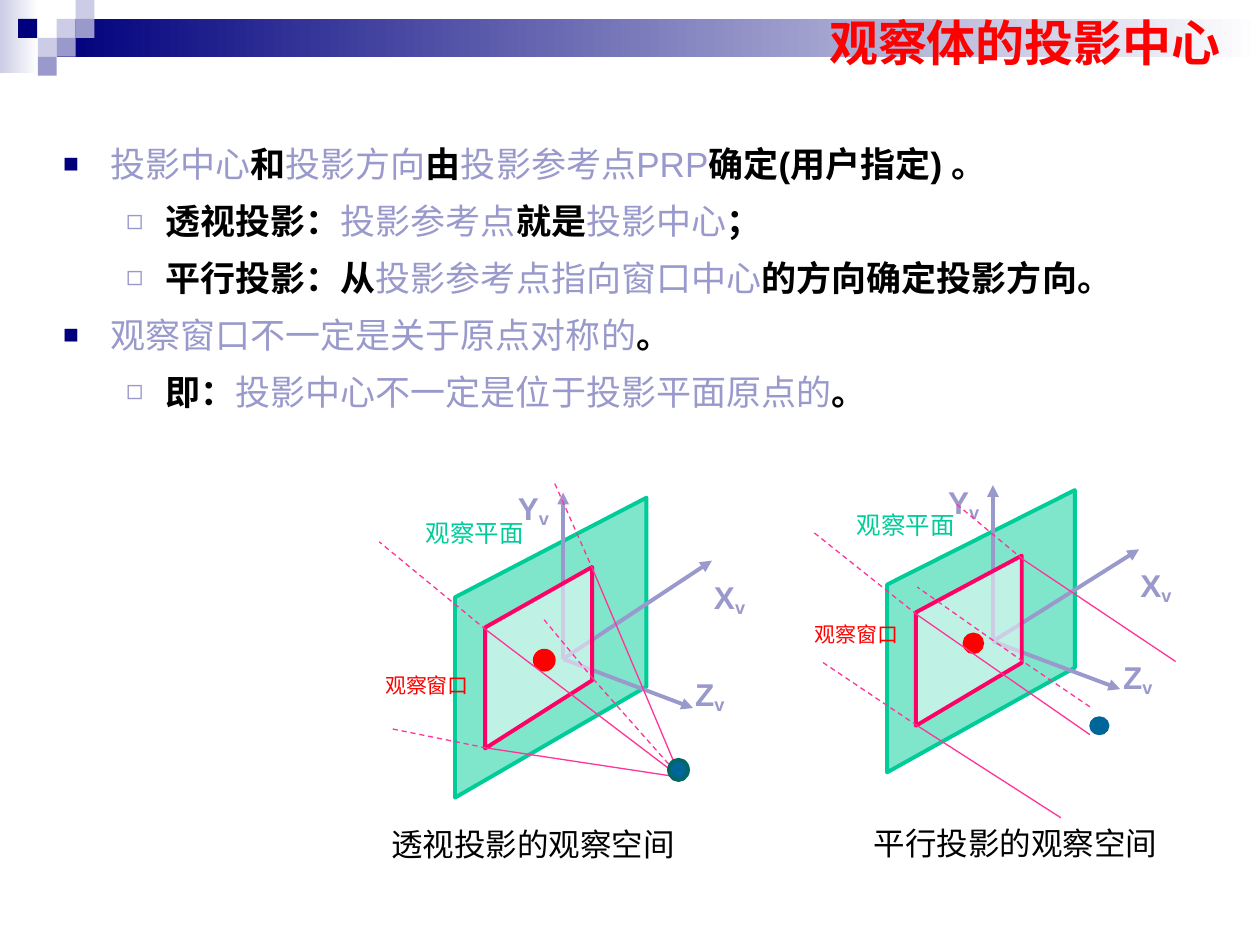
"""Build a slide comparing the projection centres of perspective and parallel views."""
from lxml.etree import SubElement
from pptx import Presentation
from pptx.dml.color import RGBColor
from pptx.enum.dml import MSO_LINE
from pptx.enum.shapes import MSO_CONNECTOR, MSO_SHAPE
from pptx.enum.text import MSO_ANCHOR, MSO_AUTO_SIZE, PP_ALIGN
from pptx.oxml.ns import qn
from pptx.util import Pt

color = RGBColor.from_string
NAVY, LAVENDER, PALE = "00007D", "9999CC", "CCCCE6"
GREEN, RED, PINK, CRIMSON, BLACK = "00CC99", "FF0000", "FF3399", "FF0066", "000000"


def add_line(start, end, tint, width, dashed=False, arrow=False):
    """Draw a straight line between two points."""
    line = page.shapes.add_connector(MSO_CONNECTOR.STRAIGHT, *map(Pt, start + end))
    line.line.color.rgb = color(tint)
    line.line.width = Pt(width)
    if dashed:
        line.line.dash_style = MSO_LINE.DASH
    if arrow:
        SubElement(line.line._get_or_add_ln(), qn("a:tailEnd"), type="triangle")
    SubElement(line._element.spPr, qn("a:effectLst"))


def add_label(place, text, size, tint, font="Arial", subscript=""):
    """Add a centred label, with an optional bold subscript."""
    box = page.shapes.add_textbox(*map(Pt, place))
    box.text_frame.word_wrap = True
    para = box.text_frame.paragraphs[0]
    para.text = text
    para.alignment = PP_ALIGN.CENTER
    if subscript:
        span = para.add_run()
        span.text = subscript
        span._r.get_or_add_rPr().set("baseline", "-16000")
    for span in para.runs:
        span.font.size = Pt(size)
        span.font.name = font
        span.font.bold = bool(subscript)
        span.font.color.rgb = color(tint)


deck = Presentation()
deck.slide_width, deck.slide_height = Pt(720), Pt(540)
page = deck.slides.add_slide(deck.slide_layouts[1])
title, body = page.placeholders

header = [
    ((0, 0, 22, 42), PALE, True),
    ((32.4, 10.8, 687.6, 21.6), NAVY, True),
    ((32.4, 10.8, 10.8, 10.8), PALE, False),
    ((43.2, 0, 10.8, 10.8), PALE, False),
    ((43.2, 10.8, 10.8, 10.8), LAVENDER, False),
    ((21.6, 21.6, 10.8, 10.8), PALE, False),
    ((10.4, 10.8, 10.8, 10.8), NAVY, False),
    ((32.4, 21.6, 10.8, 10.8), LAVENDER, False),
    ((21.6, 32.4, 10.8, 10.8), LAVENDER, False),
]
for order, (place, tint, fades) in enumerate(header):
    block = page.shapes.add_shape(MSO_SHAPE.RECTANGLE, *map(Pt, place))
    block.shadow.inherit = False
    block.line.fill.background()
    if fades:
        block.fill.gradient()
        block.fill.gradient_angle = 0
        for stop, shade in zip(block.fill.gradient_stops, (tint, "FFFFFF")):
            stop.color.rgb = color(shade)
    else:
        block.fill.solid()
        block.fill.fore_color.rgb = color(tint)
    page.shapes._spTree.insert(2 + order, block._element)

for holder, place in ((title, (466.6, 5.8, 247.7, 36)), (body, (28.8, 54, 673.2, 203))):
    holder.left, holder.top, holder.width, holder.height = map(Pt, place)
    holder.text_frame.auto_size = MSO_AUTO_SIZE.NONE
    holder.text_frame.vertical_anchor = MSO_ANCHOR.MIDDLE

title.text_frame.text = "观察体的投影中心"
heading = title.text_frame.paragraphs[0]
heading.alignment = PP_ALIGN.LEFT
heading.font.size = Pt(28)
heading.font.name = "Arial"
heading.font.bold = True
heading.font.color.rgb = color(RED)

bullets = [("■", NAVY, 75, 27, -27), ("◻", LAVENDER, 80, 58.5, -22.5)]
points = [
    (0, ["投影中心", "和", "投影方向", "由", "投影参考点PRP", "确定(用户指定) 。"]),
    (1, ["透视投影：", "投影参考点", "就是", "投影中心", "；"]),
    (1, ["平行投影：从", "投影参考点指向窗口中心", "的方向确定投影方向。"]),
    (0, ["观察窗口不一定是关于原点对称的", "。"]),
    (1, ["即：", "投影中心不一定是位于投影平面原点的", "。"]),
]
body.text_frame.text = "\n".join("" for _ in points)
for para, (level, parts) in zip(body.text_frame.paragraphs, points):
    symbol, tint, percent, margin, indent = bullets[level]
    para.level = level
    para.alignment = PP_ALIGN.JUSTIFY
    para.line_spacing = 1.25
    para.space_before, para.space_after = Pt(0), Pt(2.5)
    settings = para._p.get_or_add_pPr()
    settings.set("marL", str(Pt(margin)))
    settings.set("indent", str(Pt(indent)))
    SubElement(SubElement(settings, qn("a:buClr")), qn("a:srgbClr"), val=tint)
    SubElement(settings, qn("a:buSzPct"), val=str(percent * 1000))
    SubElement(settings, qn("a:buFont"), typeface="Arial")
    SubElement(settings, qn("a:buChar"), char=symbol)
    for index, words in enumerate(parts):
        strong = (index + level) % 2 == 1
        span = para.add_run()
        span.text = words
        span.font.size = Pt(20)
        span.font.name = "Arial"
        span.font.bold = strong
        span.font.color.rgb = color(BLACK if strong else LAVENDER)

views = [
    {
        "plane": [(260, 341.3), (260, 455.8), (369.4, 392.4), (369.4, 284.4)],
        "window": [(277.2, 358.6), (277.2, 427.7), (338.4, 388.8), (338.4, 324)],
        "origin": (321.8, 376.6),
        "axes": [("X", (406.8, 320.4), (394.6, 326.9, 44.6, 30.2)),
                 ("Y", (321.8, 281.5), (277.2, 275.8, 55.4, 30.2)),
                 ("Z", (396, 404.6), (378, 382.3, 55.4, 30.2))],
        "plane label": (226.8, 292.3, 89.3, 24.5),
        "window label": (203, 380.9, 82.1, 21.6),
        "rays": [((388.8, 444.2), (339.1, 326.2), (316.8, 275.8), False),
                 ((388.8, 444.2), (339.1, 388.1), (311, 354.2), True),
                 ((388.8, 444.2), (277.9, 427.4), (222.5, 416.2), False),
                 ((388.8, 444.2), (277.9, 360), (216.7, 309.6), False)],
        "dots": [((305.3, 371.5, 11.5, 11.5), RED, RED, 1.5),
                 ((382.3, 434.2, 10.8, 11.5), "006699", "006666", 2.25)],
        "caption": ((214.6, 468, 180, 28.8), "透视投影的观察空间"),
    },
    {
        "plane": [(506.9, 334.1), (506.9, 441.4), (614.2, 381.6), (614.2, 280.1)],
        "window": [(523.4, 349.9), (523.4, 414.7), (583.9, 378.7), (583.9, 317.5)],
        "origin": (567.4, 366.5),
        "axes": [("X", (650.9, 313.9), (638.6, 319.7, 43.9, 30.2)),
                 ("Y", (567.4, 277.2), (523.4, 272.2, 54.7, 30.2)),
                 ("Z", (640.1, 393.8), (622.8, 372.2, 54.7, 30.2))],
        "plane label": (473.8, 288, 87.8, 24.5),
        "window label": (449.3, 351.4, 80.6, 21.6),
        "rays": [((671.8, 378), (584.6, 319.7), (546.5, 288), False),
                 ((622.8, 403.9), (584.6, 378), (524.2, 335.5), True),
                 ((606.2, 467.3), (524.2, 414.7), (469.4, 378), False),
                 ((622.8, 419.8), (524.2, 351.4), (464.4, 303.8), False)],
        "dots": [((550.8, 362.2, 10.8, 10.8), RED, RED, 1.5),
                 ((622.8, 409.7, 10.8, 10.1), "006699", "006699", 0.75)],
        "caption": ((490.3, 467.3, 180, 28.8), "平行投影的观察空间"),
    },
]
for view in views:
    for name, tint, edge in (("plane", GREEN, GREEN), ("window", "FFFFFF", CRIMSON)):
        corners = [(Pt(x), Pt(y)) for x, y in view[name]]
        outline = page.shapes.build_freeform(*corners[0])
        outline.add_line_segments(corners[1:], close=True)
        panel = outline.convert_to_shape()
        panel.shadow.inherit = False
        panel.fill.solid()
        panel.fill.fore_color.rgb = color(tint)
        shade = panel._element.spPr.find(qn("a:solidFill"))[0]
        SubElement(shade, qn("a:alpha"), val="50000")
        panel.line.color.rgb = color(edge)
        panel.line.width = Pt(2.25)
        if name == "plane":
            for letter, tip, place in view["axes"]:
                add_line(view["origin"], tip, LAVENDER, 2.25, arrow=True)
                add_label(place, letter, 18, LAVENDER, subscript="v")
            add_label(view["plane label"], "观察平面", 14, GREEN)
    for place, tint, edge, width in view["dots"]:
        dot = page.shapes.add_shape(MSO_SHAPE.OVAL, *map(Pt, place))
        dot.shadow.inherit = False
        dot.fill.solid()
        dot.fill.fore_color.rgb = color(tint)
        dot.line.color.rgb = color(edge)
        dot.line.width = Pt(width)
        if tint == RED:
            for near, corner, far, dashed in view["rays"]:
                add_line(near, corner, PINK, 0.75, dashed=dashed)
                add_line(corner, far, PINK, 0.75, dashed=True)
            add_label(view["window label"], "观察窗口", 12, RED)
    place, words = view["caption"]
    add_label(place, words, 18, BLACK, font="Times New Roman")

deck.save("out.pptx")
